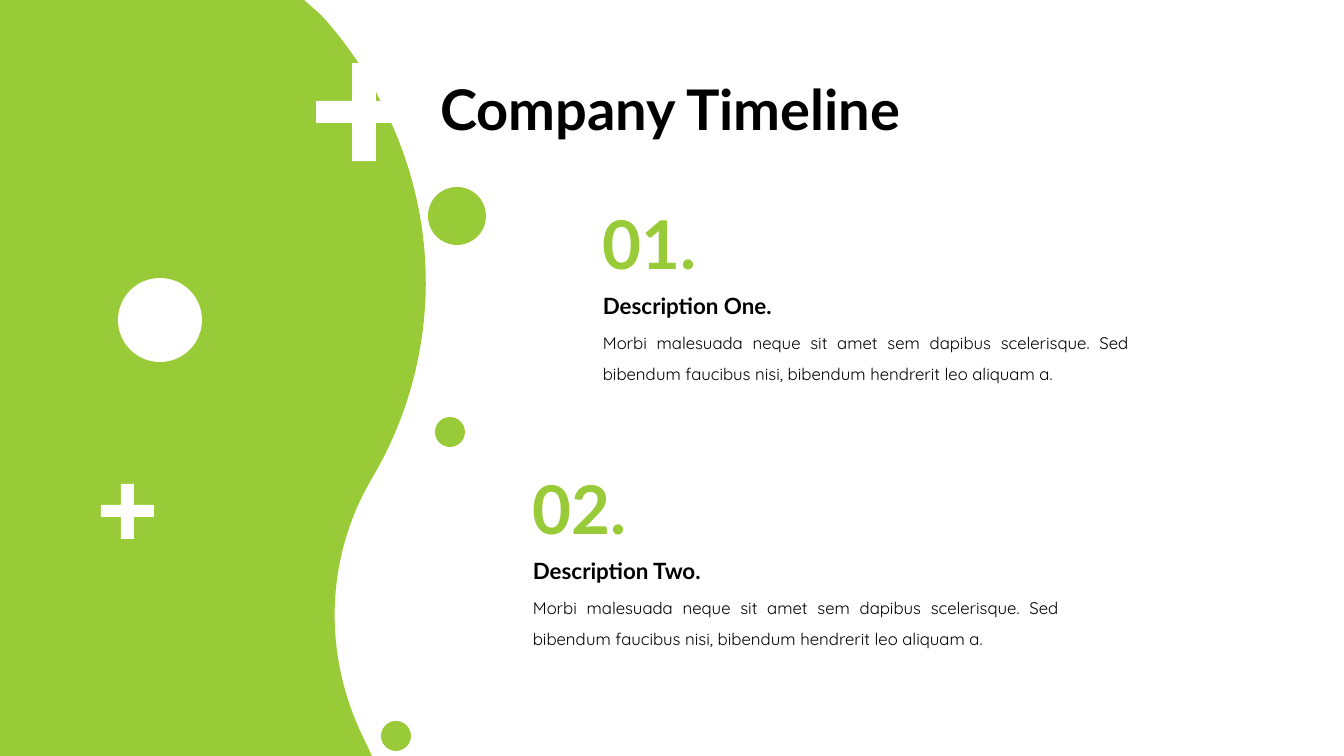
import pptx
import pptx.util
import pptx.dml.color
import pptx.enum.shapes
import pptx.enum.text

TITLE = "Company Timeline"
BODY = ("Morbi malesuada neque sit amet sem dapibus scelerisque. Sed "
        "bibendum faucibus nisi, bibendum hendrerit leo aliquam a.")
STEPS = [
    ("01.", "Description One.", BODY, 593, 197),
    ("02.", "Description Two.", BODY, 523, 462),
]
CIRCLES = [
    ("green", 435, 417, 30),
    ("green", 428, 187, 58),
    ("green", 381, 721, 30),
    ("white", 118, 278, 84),
]
PLUSES = [
    ((316, 352, 376, 412), (63, 101, 123, 161)),
    ((101, 121, 134, 154), (484, 505, 517, 539)),
]
WAVE_START = (321, 15)
WAVE_CURVES = [
    ((344, 40), (365, 70), (381, 102)),
    ((447, 228), (437, 370), (371, 480)),
    ((325, 559), (323, 655), (363, 737)),
]
THEME = {
    "green": "99CB38", "white": "FFFFFF", "black": "000000",
    "head_font": "Lato", "body_font": "Quicksand",
    "title": 40, "number": 48, "heading": 16, "body": 12,
}
W, H = 1344, 756
CURVE_STEPS = 32
ALIGN = pptx.enum.text.PP_ALIGN
ANCHOR = pptx.enum.text.MSO_ANCHOR


def px(n):
    return pptx.util.Emu(round(n * 914400 / 100.8))


def rgb(color):
    return pptx.dml.color.RGBColor.from_string(THEME[color])


def paint(sp, color):
    sp.shadow.inherit = False
    sp.fill.solid()
    sp.fill.fore_color.rgb = rgb(color)
    sp.line.fill.background()


def outline(slide, points, color):
    pts = [(px(x), px(y)) for x, y in points]
    fb = slide.shapes.build_freeform(*pts[0], scale=1.0)
    fb.add_line_segments(pts[1:], close=True)
    paint(fb.convert_to_shape(), color)


def bezier(a, b, c, d):
    for i in range(1, CURVE_STEPS + 1):
        t = i / CURVE_STEPS
        u = 1 - t
        yield tuple(u**3 * a[k] + 3 * u * u * t * b[k] + 3 * u * t * t * c[k] + t**3 * d[k]
                    for k in (0, 1))


def write(sp, text, size, color="black", font="head_font", bold=True,
          spacing=1.0, align=ALIGN.LEFT, anchor=ANCHOR.TOP):
    tf = sp.text_frame
    tf.word_wrap = True
    tf.auto_size = pptx.enum.text.MSO_AUTO_SIZE.NONE
    tf.vertical_anchor = anchor
    p = tf.paragraphs[0]
    p.alignment = align
    p.line_spacing = spacing
    r = p.add_run()
    r.text = text
    r.font.name = THEME[font]
    r.font.size = pptx.util.Pt(THEME[size])
    r.font.bold = bold
    r.font.color.rgb = rgb(color)


def textbox(slide, x, y, w, h, *args, **style):
    write(slide.shapes.add_textbox(px(x), px(y), px(w), px(h)), *args, **style)


def main():
    prs = pptx.Presentation()
    prs.slide_width, prs.slide_height = px(W), px(H)
    slide = prs.slides.add_slide(prs.slide_layouts[5])

    wave = [(0, 0), (304, 0), WAVE_START]
    for curve in WAVE_CURVES:
        wave += list(bezier(wave[-1], *curve))
    outline(slide, wave + [(372, H), (0, H)], "green")

    for number, heading, body, x, y in STEPS:
        textbox(slide, x, y + 121, 546, 72, body, "body", font="body_font",
                bold=False, spacing=1.5, align=ALIGN.JUSTIFY)
        textbox(slide, x, y + 77, 316, 45, heading, "heading", spacing=1.5)
        textbox(slide, x, y, 135, 92, number, "number", color="green")

    for color, x, y, d in CIRCLES:
        oval = pptx.enum.shapes.MSO_SHAPE.OVAL
        paint(slide.shapes.add_shape(oval, px(x), px(y), px(d), px(d)), color)

    for (x0, x1, x2, x3), (y0, y1, y2, y3) in PLUSES:
        outline(slide, [(x1, y0), (x2, y0), (x2, y1), (x3, y1), (x3, y2), (x2, y2),
                        (x2, y3), (x1, y3), (x1, y2), (x0, y2), (x0, y1), (x1, y1)], "white")

    title = slide.shapes.title
    title.left, title.top, title.width, title.height = px(430), px(39), px(737), px(146)
    write(title, TITLE, "title", spacing=0.9, anchor=ANCHOR.MIDDLE)

    prs.save("out.pptx")


if __name__ == "__main__":
    main()
